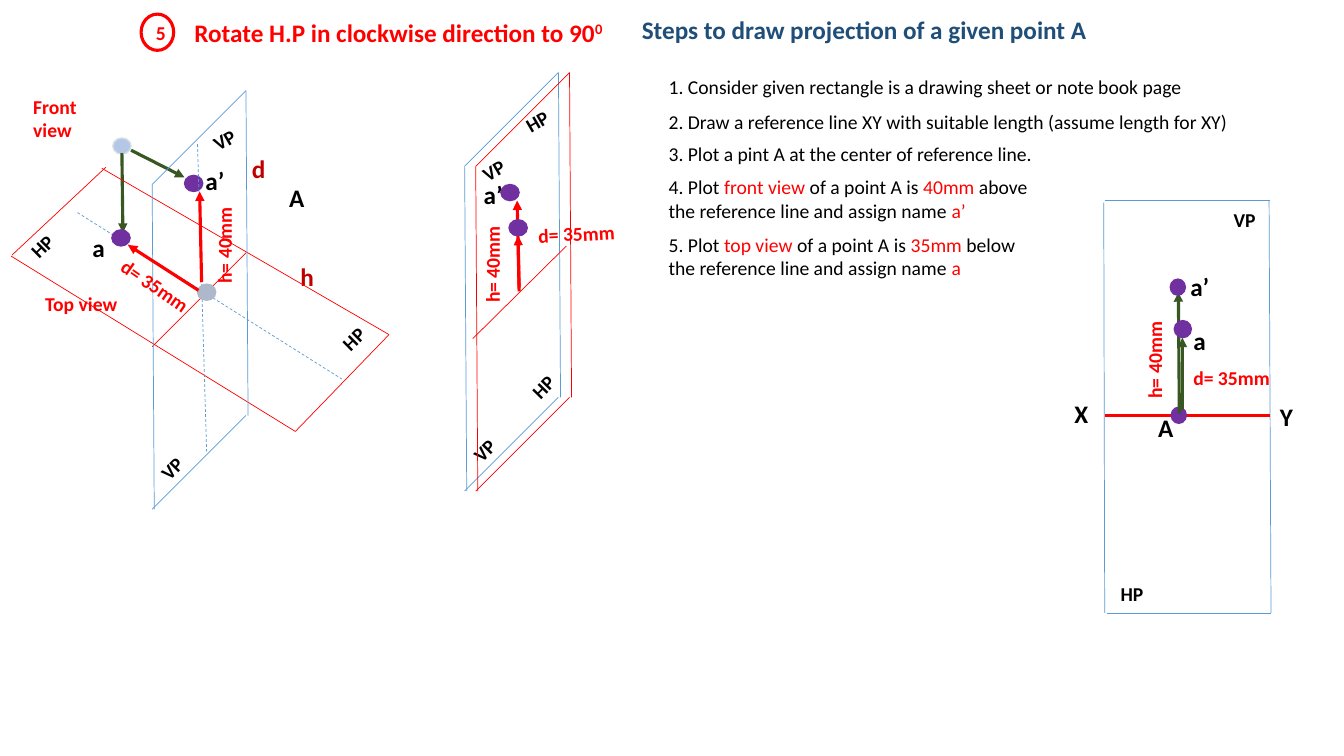
"""Build a slide on rotating the horizontal plane and projecting a point."""
from dataclasses import dataclass
from typing import Union

from lxml import etree
from pptx import Presentation
from pptx import util as u
from pptx.dml import color as dc
from pptx.enum import dml, shapes, text
from pptx.oxml import ns

COLORS = {
    "black": "000000", "red": "FF0000", "crimson": "C00000", "navy": "1F4E79",
    "blue": "5B9BD5", "green": "385723", "purple": "7030A0",
    "pale": "B4C7E7", "pale_edge": "D6DCE5", "gray": "ADB9CA",
}
FONT = "Calibri"
THIN, THICK = 0.5, 2.25
HEIGHTS = {14: 24.2, 18: 29.1}


@dataclass(frozen=True)
class Line:
    x1: float
    y1: float
    x2: float
    y2: float
    color: str
    width: float = THIN
    dashed: bool = False
    arrow: bool = False


@dataclass(frozen=True)
class Dot:
    left: float
    top: float
    width: float = 13
    height: float = 11.5
    fill: str = "purple"
    edge: str = "purple"


@dataclass(frozen=True)
class Label:
    words: str
    left: float
    top: float
    width: float
    color: str = "black"
    size: int = 14
    angle: float = 0
    wrap: bool = True
    bold: bool = True
    lines: int = 1


Item = Union[Line, Dot, Label]


def rgb(name: str) -> dc.RGBColor:
    return dc.RGBColor.from_string(COLORS[name])


def arrow(x1: float, y1: float, x2: float, y2: float, color: str) -> Line:
    return Line(x1, y1, x2, y2, color, THICK, arrow=True)


def plane(x: float, y: float, color: str) -> list[Item]:
    corners = [(0, 0, 1.5, 232), (0, 0, 67, -67), (67, -67, 68.5, 165), (0, 232, 67, 165)]
    return [Line(x + a, y + b, x + c, y + d, color) for a, b, c, d in corners]


def tag(words: str, left: float, top: float, angle: float = 0) -> Label:
    return Label(words, left, top, 38.2, angle=angle)


def name(words: str, left: float, top: float, width: float, color: str = "black") -> Label:
    return Label(words, left, top, width, color, 18, wrap=False)


def measure(words: str, left: float, top: float, angle: float) -> Label:
    return Label(words, left, top, 69.8, "red", angle=angle, wrap=False)


def step(words: str, top: float, width: float, lines: int = 1) -> Label:
    return Label(words, 470.5, top, width, bold=False, lines=lines)


def style(span, color: str, size: int, bold: bool) -> None:
    span.font.name = FONT
    span.font.size = u.Pt(size)
    span.font.bold = bold
    span.font.color.rgb = rgb(color)


def draw_line(page, line: Line) -> None:
    ends = (u.Pt(v) for v in (line.x1, line.y1, line.x2, line.y2))
    connector = page.shapes.add_connector(shapes.MSO_CONNECTOR.STRAIGHT, *ends)
    connector.line.color.rgb = rgb(line.color)
    connector.line.width = u.Pt(line.width)
    if line.dashed:
        connector.line.dash_style = dml.MSO_LINE.DASH
    if line.arrow:
        etree.SubElement(connector.line._get_or_add_ln(), ns.qn("a:tailEnd"), type="triangle")
    etree.SubElement(connector._element.spPr, ns.qn("a:effectLst"))


def draw_dot(page, dot: Dot) -> None:
    bounds = (u.Pt(v) for v in (dot.left, dot.top, dot.width, dot.height))
    oval = page.shapes.add_shape(shapes.MSO_SHAPE.OVAL, *bounds)
    oval.shadow.inherit = False
    oval.fill.solid()
    oval.fill.fore_color.rgb = rgb(dot.fill)
    oval.line.color.rgb = rgb(dot.edge)
    oval.line.width = u.Pt(1)


def draw_label(page, label: Label) -> None:
    height = HEIGHTS[label.size] + (label.lines - 1) * label.size * 1.2
    bounds = (u.Pt(v) for v in (label.left, label.top, label.width, height))
    box = page.shapes.add_textbox(*bounds)
    box.rotation = label.angle
    frame = box.text_frame
    frame.word_wrap = label.wrap
    frame.auto_size = text.MSO_AUTO_SIZE.SHAPE_TO_FIT_TEXT
    first, *rest = label.words.split("|")
    frame.text = first
    for part in rest:
        frame.paragraphs[-1].add_run().text = part
    for para in frame.paragraphs:
        for index, span in enumerate(para.runs):
            style(span, "red" if index % 2 else label.color, label.size, label.bold)


def draw_title(page) -> None:
    draw_label(page, Label("Rotate H.P in clockwise direction to 90|0", 131.8, 8.6, 308.2, "red", 18))
    degree = page.shapes[-1].text_frame.paragraphs[0].runs[-1]
    degree._r.get_or_add_rPr().set("baseline", "30000")


def draw_badge(page) -> None:
    badge = page.shapes.add_shape(
        shapes.MSO_SHAPE.OVAL, u.Pt(100.8), u.Pt(10.1), u.Pt(23.3), u.Pt(25.9))
    badge.shadow.inherit = False
    badge.fill.background()
    badge.line.color.rgb = rgb("red")
    badge.line.width = u.Pt(THICK)
    frame = badge.text_frame
    frame.text = "5"
    frame.vertical_anchor = text.MSO_ANCHOR.MIDDLE
    frame.paragraphs[0].alignment = text.PP_ALIGN.CENTER
    style(frame.paragraphs[0].runs[0], "red", 14, True)


SHEET: list[Item] = [
    Line(788.4, 144.7, 789.1, 437.8, "blue"), Line(789.1, 143.3, 907.2, 143.3, "blue"),
    Line(906.5, 143.3, 907.9, 437.8, "blue"), Line(790.6, 437.8, 907.9, 437.8, "blue"),
    tag("VP", 874.1, 144.7), tag("HP", 793.4, 411.8),
    Line(789.1, 296.6, 907.2, 296.6, "red", THICK),
    name("X", 760.3, 280.8, 24.5), name("Y", 907.2, 283, 22.3),
    Dot(836.6, 290.9, 10.8),
    arrow(842.4, 295.2, 841.7, 208.8, "green"), arrow(844.6, 293, 844.6, 241.2, "green"),
    name("a’", 843.1, 190.1, 28.1), name("a", 845.3, 229, 23.8), name("A", 820.1, 290.9, 25.2),
    measure("h= 40mm", 789.8, 244.8, 270), Dot(835.9, 199.4, 10.8),
    Dot(838.8, 229, 12.2, 12.2), Label("d= 35mm", 845.3, 257.8, 72, "red"),
]
FOLDED: list[Item] = [
    *plane(331.9, 118.8, "blue"),
    tag("HP", 367.9, 72.7, 329.7), tag("VP", 329.8, 306.7, 314.3),
    tag("VP", 337, 107.3, 329.7), tag("HP", 371.5, 261.4, 314.3),
    *plane(339.8, 118.8, "red"), Line(337.7, 241.9, 404.6, 175.7, "red"),
    Dot(357.8, 131.8), name("a’", 338.4, 124.6, 28.1),
    arrow(370.8, 208.1, 369.4, 143.3, "red"), measure("h= 40mm", 316.8, 176.4, 270),
    Dot(363.6, 157), arrow(370.8, 205.2, 370.1, 168.5, "red"),
    measure("d= 35mm", 377.3, 154.8, 357),
]
QUADRANTS: list[Item] = [
    Dot(131.8, 125.3), name("a’", 139.7, 114.5, 28.1),
    Dot(80.6, 98.6, fill="pale", edge="pale_edge"),
    name("A", 199.4, 126.7, 25.2), name("h", 207.4, 182.9, 24.5, "crimson"),
    name("d", 172.8, 105.8, 24.5, "crimson"),
    arrow(87.1, 109.4, 87.8, 166.3, "green"), arrow(93.6, 107.3, 131.8, 126.7, "green"),
    Line(108.7, 247.7, 175.7, 180.7, "red"), Line(72.7, 120.2, 277.9, 239, "red"),
    Line(211, 308.2, 277.9, 239, "red"), Line(7.9, 182.9, 211, 308.2, "red"),
    Line(8.6, 182.2, 75.6, 119.5, "red"),
    tag("HP", 236.2, 227.5, 315.4), tag("HP", 13.7, 161.3, 315.4),
    *plane(108.7, 131.8, "blue"),
    tag("VP", 144.7, 85.7, 329.7), tag("VP", 106.6, 319.7, 314.3),
    Line(141.1, 103, 147.6, 322.6, "blue", dashed=True),
    Line(55.4, 151.9, 244.1, 270.7, "blue", dashed=True),
    Label("Top view", 25.2, 205.2, 81.4, "red"),
    Label("Front\nview", 16.6, 64.1, 51.1, "red", lines=2),
    Dot(141.1, 203, fill="gray", edge="gray"),
    arrow(144, 201.6, 142.6, 136.8, "red"), measure("h= 40mm", 125.3, 162.7, 270),
    Dot(79.9, 164.2), arrow(141.8, 207.4, 91.4, 175, "red"),
    measure("d= 35mm", 76.3, 192.2, 34.7), name("a", 59, 162.7, 23.8),
]
STEPS: list[Item] = [
    Label("Steps to draw projection of a given point A", 451.4, 6.5, 472.3, "navy", 18),
    step("1. Consider given rectangle is a drawing sheet or note book page", 49.7, 395.3),
    step("2. Draw a reference line XY with suitable length (assume length for XY)", 74.9, 453.6),
    step("3. Plot a pint A at the center of reference line.", 97.9, 453.6),
    step("4. Plot |front view |of a point A is |40mm| above the reference line "
         "and assign name |a’", 121.7, 277.2, 2),
    step("5. Plot |top view |of a point A is |35mm| below the reference line "
         "and assign name |a", 162.7, 277.2, 2),
]


def main() -> None:
    deck = Presentation()
    deck.slide_width, deck.slide_height = u.Pt(960), u.Pt(540)
    page = deck.slides.add_slide(deck.slide_layouts[6])
    draw_title(page)
    draw_badge(page)
    painters = {Line: draw_line, Dot: draw_dot, Label: draw_label}
    for item in SHEET + FOLDED + QUADRANTS + STEPS:
        painters[type(item)](page, item)
    deck.save("out.pptx")


if __name__ == "__main__":
    main()
